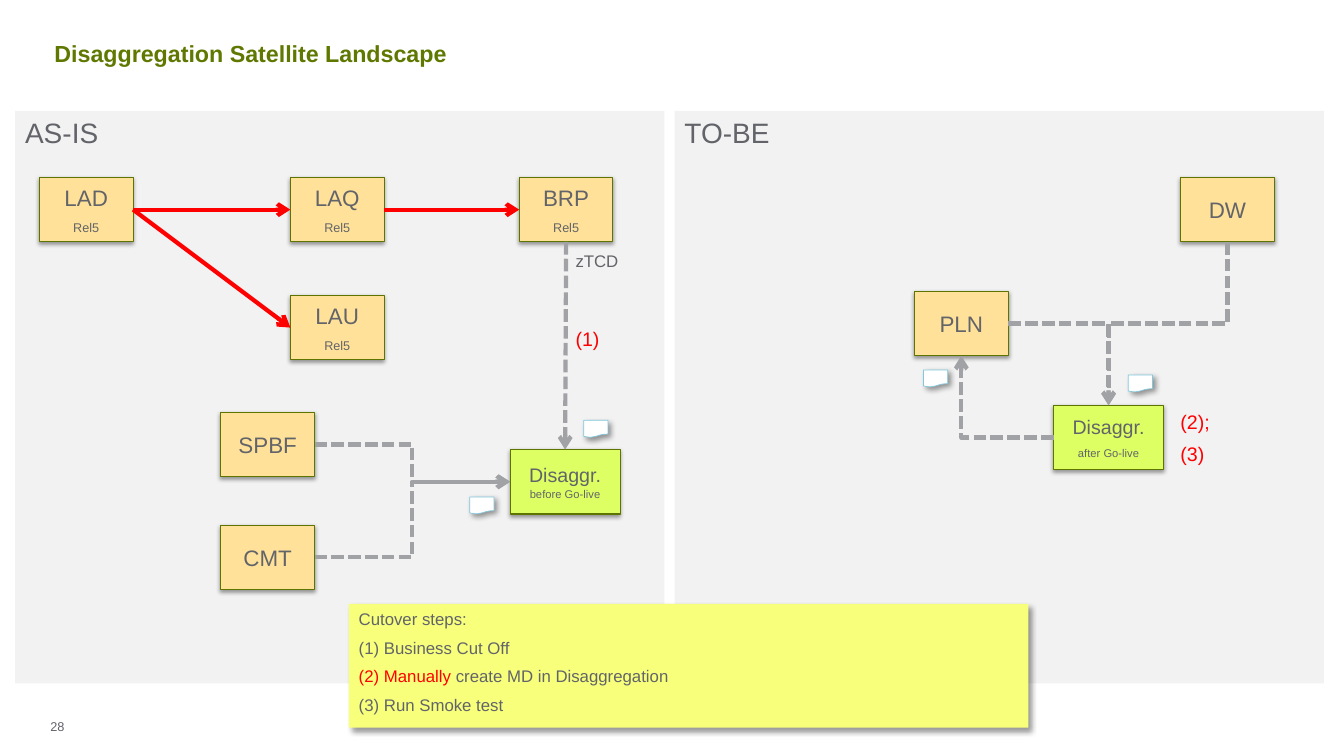
from lxml import etree
from pptx import Presentation
from pptx.dml.color import RGBColor
from pptx.enum.dml import MSO_LINE
from pptx.enum.shapes import MSO_CONNECTOR, MSO_SHAPE
from pptx.enum.text import MSO_ANCHOR, PP_ALIGN
from pptx.oxml import parse_xml
from pptx.oxml.ns import nsdecls, qn
from pptx.util import Inches, Pt

RECT, DOCUMENT = MSO_SHAPE.RECTANGLE, MSO_SHAPE.FLOWCHART_DOCUMENT
STRAIGHT, ELBOW = MSO_CONNECTOR.STRAIGHT, MSO_CONNECTOR.ELBOW
SOLID, DASHED = MSO_LINE.SOLID, MSO_LINE.SQUARE_DOT
MIDDLE, TOP_ANCHOR = MSO_ANCHOR.MIDDLE, MSO_ANCHOR.TOP
CENTER, LEFT_ALIGN = PP_ALIGN.CENTER, PP_ALIGN.LEFT
TOP, LEFT, BOTTOM, RIGHT = range(4)

WHITE = RGBColor(0xFF, 0xFF, 0xFF)
PANEL = RGBColor(0xF2, 0xF2, 0xF2)
TEXT = RGBColor(0x62, 0x64, 0x69)
TITLE = RGBColor(0x5F, 0x78, 0x00)
BORDER = RGBColor(0x5D, 0x75, 0x00)
ORANGE = RGBColor(0xFF, 0xE1, 0x99)
LIME = RGBColor(0xDE, 0xFF, 0x63)
YELLOW = RGBColor(0xF8, 0xFF, 0x7B)
BLUE = RGBColor(0x82, 0xC8, 0xDC)
GREY = RGBColor(0xA0, 0xA2, 0xA6)
RED = RGBColor(0xFF, 0x00, 0x00)

PANELS = [("TO-BE", 6.69), ("AS-IS", 0.15)]
SYSTEMS = {
    "DW": (11.71, 1.76, None), "LAD": (0.39, 1.76, "Rel5"), "LAQ": (2.88, 1.76, "Rel5"),
    "LAU": (2.88, 2.93, "Rel5"), "BRP": (5.15, 1.76, "Rel5"), "SPBF": (2.19, 4.09, None),
    "CMT": (2.19, 5.21, None), "PLN": (9.07, 2.89, None),
}
DISAGGREGATIONS = {"before Go-live": (5.06, 4.46, "\v"), "after Go-live": (10.45, 4.02, "\n")}
FLOWS = [
    ("DW", BOTTOM, "after Go-live", TOP, GREY, DASHED, "bentConnector3"),
    ("LAD", RIGHT, "LAQ", LEFT, RED, SOLID, None),
    ("LAD", RIGHT, "LAU", LEFT, RED, SOLID, None),
    ("LAQ", RIGHT, "BRP", LEFT, RED, SOLID, None),
    ("BRP", BOTTOM, "before Go-live", TOP, GREY, DASHED, None),
    ("SPBF", RIGHT, "before Go-live", LEFT, GREY, DASHED, "bentConnector3"),
    ("CMT", RIGHT, "before Go-live", LEFT, GREY, DASHED, "bentConnector3"),
    ("PLN", RIGHT, "after Go-live", TOP, GREY, DASHED, "bentConnector2"),
    ("after Go-live", LEFT, "PLN", BOTTOM, GREY, DASHED, "bentConnector2"),
]
DOCUMENTS = [(9.16, 3.67), (11.19, 3.72), (5.79, 4.17), (4.66, 4.93)]
LABELS = [
    ("(2);\n(3)", 11.61, 4.02, 0.7, 1.14, 14, RED),
    ("zTCD", 5.61, 2.44, 0.8, 0.34, 12, TEXT),
    ("(1)", 5.61, 3.19, 0.7, 0.33, 14, RED),
    ("28", 0.4, 7.08, 0.81, 0.41, 9.1, TEXT),
]
CUTOVER_STEPS = [("", "Business Cut Off"), ("Manually", " create MD in Disaggregation"),
                 ("", "Run Smoke test")]
SYSTEM_SHADOW = (38, 3.1, 1.6, 90)
SOFT_SHADOW = (40, 4, 3, 45)

prs = Presentation()
prs.slide_width, prs.slide_height = Inches(13.33), Inches(7.5)
slide = prs.slides.add_slide(prs.slide_layouts[5])


def style(paragraph, size, color=TEXT, align=LEFT_ALIGN):
    paragraph.alignment, paragraph.space_after = align, Pt(6)
    font = paragraph.font
    font.name, font.size, font.color.rgb = "Arial", Pt(size), color


def add_box(preset, left, top, width, height, fill, border=None, weight=0.75, shadow=None):
    box = slide.shapes.add_shape(preset, *map(Inches, (left, top, width, height)))
    box.shadow.inherit = False
    box.fill.solid()
    box.fill.fore_color.rgb = fill
    if border is None:
        box.line.fill.background()
    else:
        box.line.color.rgb, box.line.width = border, Pt(weight)
    if shadow:
        opacity, blur, distance, angle = shadow
        box._element.spPr.find(qn("a:effectLst")).append(parse_xml(
            f'<a:outerShdw {nsdecls("a")} blurRad="{Pt(blur)}" dist="{Pt(distance)}" '
            f'dir="{angle * 60000}" rotWithShape="0"><a:srgbClr val="000000">'
            f'<a:alpha val="{opacity * 1000}"/></a:srgbClr></a:outerShdw>'))
    box.text_frame.vertical_anchor = TOP_ANCHOR
    return box


def add_system(left, top, width, fill, name, size, note, note_size, separator="\n"):
    system = add_box(RECT, left, top, width, 0.64, fill, BORDER, shadow=SYSTEM_SHADOW)
    frame = system.text_frame
    frame.vertical_anchor = MIDDLE
    frame.text = name + separator + note if note else name
    for paragraph, points in zip(frame.paragraphs, (size, note_size)):
        style(paragraph, points, align=CENTER)
    if separator == "\v":
        frame.paragraphs[0].runs[1].font.size = Pt(note_size)
    return system


def add_label(text, left, top, width, height, size, color):
    frame = slide.shapes.add_textbox(*map(Inches, (left, top, width, height))).text_frame
    frame.word_wrap = True
    frame.text = text
    for paragraph in frame.paragraphs:
        style(paragraph, size, color)


def add_flow(source, source_site, target, target_site, color, dash, bend):
    flow = slide.shapes.add_connector(ELBOW if bend else STRAIGHT, 0, 0, 0, 0)
    flow.begin_connect(systems[source], source_site)
    flow.end_connect(systems[target], target_site)
    flow.line.color.rgb, flow.line.width, flow.line.dash_style = color, Pt(3), dash
    properties = flow._element.spPr
    etree.SubElement(flow.line._get_or_add_ln(), qn("a:tailEnd"), type="arrow")
    etree.SubElement(properties, qn("a:effectLst"))
    if bend:
        properties.find(qn("a:prstGeom")).set("prst", bend)
    if bend and source_site == BOTTOM:
        turn_downward(flow)


def turn_downward(flow):
    center_x, center_y = flow.left + flow.width // 2, flow.top + flow.height // 2
    flow.width, flow.height = flow.height, flow.width
    flow.left, flow.top = center_x - flow.width // 2, center_y - flow.height // 2
    frame = flow._element.spPr.find(qn("a:xfrm"))
    frame.attrib.pop("flipH", None)
    frame.set("rot", str(90 * 60000))


heading = slide.shapes.title
heading.left, heading.top, heading.width, heading.height = map(Inches, (0.54, 0.08, 12.33, 0.89))
heading_frame = heading.text_frame
heading_frame.text = "Disaggregation Satellite Landscape"
heading_frame.vertical_anchor = MIDDLE
heading_frame.margin_left = heading_frame.margin_right = 0
heading_frame.margin_top = heading_frame.margin_bottom = 0
style(heading_frame.paragraphs[0], 16.6, TITLE)
heading_frame.paragraphs[0].font.bold = True
heading_frame.paragraphs[0].space_after = Pt(0)

for panel_name, panel_left in PANELS:
    panel = add_box(RECT, panel_left, 1.1, 6.44, 5.68, PANEL)
    panel.text_frame.text = panel_name
    style(panel.text_frame.paragraphs[0], 20)

systems = {name: add_system(left, top, 0.93, ORANGE, name, 16, release, 9)
           for name, (left, top, release) in SYSTEMS.items()}
for phase, (left, top, separator) in DISAGGREGATIONS.items():
    systems[phase] = add_system(left, top, 1.09, LIME, "Disaggr.", 14, phase, 8, separator)
for flow_ends in FLOWS:
    add_flow(*flow_ends)
for left, top in DOCUMENTS:
    add_box(DOCUMENT, left, top, 0.24, 0.17, WHITE, BLUE, 0.5, SOFT_SHADOW)
for label in LABELS:
    add_label(*label)

cutover = add_box(RECT, 3.46, 5.99, 6.74, 1.23, YELLOW, shadow=SOFT_SHADOW).text_frame
cutover.text = "Cutover steps:"
style(cutover.paragraphs[0], 12)
for emphasis, remainder in CUTOVER_STEPS:
    step = cutover.add_paragraph()
    style(step, 12)
    if emphasis:
        stressed = step.add_run()
        stressed.text, stressed.font.color.rgb = emphasis, RED
    step.add_run().text = remainder
    step_format = step._p.get_or_add_pPr()
    step_format.set("marL", str(Inches(0.25)))
    step_format.set("indent", str(-Inches(0.25)))
    step_format.find(qn("a:defRPr")).addprevious(
        parse_xml(f'<a:buAutoNum {nsdecls("a")} type="arabicParenBoth"/>'))

prs.save("out.pptx")
